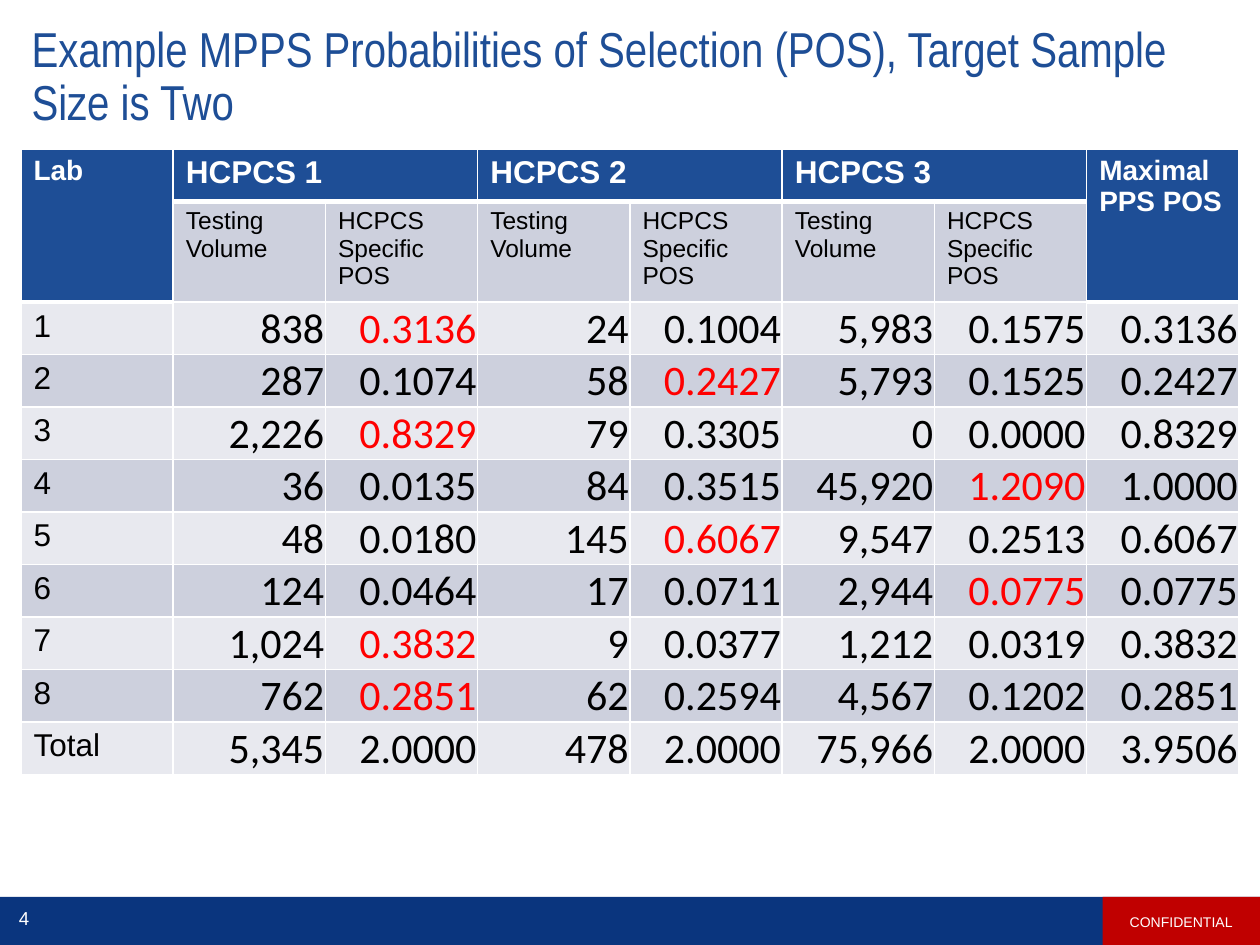
import pptx
import pptx.util
import pptx.dml.color
import pptx.enum.shapes
import pptx.enum.text
import pptx.oxml
import pptx.oxml.ns

Pt = pptx.util.Pt
ALIGN = pptx.enum.text.PP_ALIGN
ANCHOR = pptx.enum.text.MSO_ANCHOR

BLUE, NAVY, RED = "1E4E96", "0A357E", "C00000"
WHITE, BLACK, HIGHLIGHT = "FFFFFF", "000000", "FF0000"
BANDS = ("E8E9EF", "CDD0DD")

LAB_ROWS = [
    ("1", "838", "0.3136", "24", "0.1004", "5,983", "0.1575", "0.3136"),
    ("2", "287", "0.1074", "58", "0.2427", "5,793", "0.1525", "0.2427"),
    ("3", "2,226", "0.8329", "79", "0.3305", "0", "0.0000", "0.8329"),
    ("4", "36", "0.0135", "84", "0.3515", "45,920", "1.2090", "1.0000"),
    ("5", "48", "0.0180", "145", "0.6067", "9,547", "0.2513", "0.6067"),
    ("6", "124", "0.0464", "17", "0.0711", "2,944", "0.0775", "0.0775"),
    ("7", "1,024", "0.3832", "9", "0.0377", "1,212", "0.0319", "0.3832"),
    ("8", "762", "0.2851", "62", "0.2594", "4,567", "0.1202", "0.2851"),
    ("Total", "5,345", "2.0000", "478", "2.0000", "75,966", "2.0000", "3.9506"),
]
POS_COLUMNS = (2, 4, 6)


def color(value):
    return pptx.dml.color.RGBColor.from_string(value)


def write(text_frame, text, size, text_color, font="Arial", bold=False, align=ALIGN.LEFT):
    text_frame.text = text
    text_frame.word_wrap = True
    paragraph = text_frame.paragraphs[0]
    paragraph.alignment = align
    for run in paragraph.runs:
        run.font.name = font
        run.font.size = Pt(size)
        run.font.bold = bold
        run.font.color.rgb = color(text_color)
    return paragraph


def set_margins(target, left, top, right, bottom):
    target.margin_left, target.margin_top = Pt(left), Pt(top)
    target.margin_right, target.margin_bottom = Pt(right), Pt(bottom)


def style_cell(cell, fill, bottom_width=1):
    cell.fill.solid()
    cell.fill.fore_color.rgb = color(fill)
    properties = cell._tc.get_or_add_tcPr()
    widths = {"lnL": 1, "lnR": 1, "lnT": 1, "lnB": bottom_width}
    for index, (side, width) in enumerate(widths.items()):
        line = pptx.oxml.parse_xml(
            f'<a:{side} {pptx.oxml.ns.nsdecls("a")} w="{int(Pt(width))}"><a:solidFill>'
            f'<a:srgbClr val="{WHITE}"/></a:solidFill></a:{side}>')
        properties.insert(index, line)


def add_title(slide, left, top, width, height):
    title = slide.shapes.title
    title.left, title.top, title.width, title.height = map(Pt, (left, top, width, height))
    text_frame = title.text_frame
    set_margins(text_frame, 7.2, 7.2, 14.4, 7.2)
    text_frame.vertical_anchor = ANCHOR.MIDDLE
    paragraph = write(
        text_frame,
        "Example MPPS Probabilities of Selection (POS), Target Sample Size is Two",
        28, BLUE, font="Arial Narrow")
    paragraph.line_spacing = 0.9
    text_frame.auto_size = pptx.enum.text.MSO_AUTO_SIZE.NONE


def add_header_rows(table):
    # Blue cells, spanning two rows at the ends and two columns between
    for column in range(8):
        style_cell(table.cell(0, column), BLUE, bottom_width=3)
    for column, text in ((0, "Lab"), (7, "Maximal PPS POS")):
        style_cell(table.cell(1, column), BLUE, bottom_width=3)
        table.cell(0, column).merge(table.cell(1, column))
        write(table.cell(0, column).text_frame, text, 16, WHITE, bold=True)
    for number in (1, 2, 3):
        column = 2 * number - 1
        table.cell(0, column).merge(table.cell(0, column + 1))
        write(table.cell(0, column).text_frame, f"HCPCS {number}", 18, WHITE, bold=True)
        # Subheadings
        for offset, text in enumerate(("Testing Volume", "HCPCS Specific POS")):
            cell = table.cell(1, column + offset)
            style_cell(cell, BANDS[1])
            write(cell.text_frame, text, 14, BLACK)


def add_lab_rows(table):
    for index, values in enumerate(LAB_ROWS):
        # The largest probability of each lab stands out
        largest = max(float(values[column]) for column in POS_COLUMNS)
        for column, text in enumerate(values):
            cell = table.cell(index + 2, column)
            style_cell(cell, BANDS[index % 2])
            if column == 0:
                write(cell.text_frame, text, 18, BLACK)
                continue
            is_largest = (values[0] != "Total" and column in POS_COLUMNS
                          and float(text) == largest)
            set_margins(cell, 0.75, 0.75, 0.75, 0)
            cell.vertical_anchor = ANCHOR.BOTTOM
            write(cell.text_frame, text, 24, HIGHLIGHT if is_largest else BLACK,
                  font="Calibri", align=ALIGN.RIGHT)


def add_pos_table(slide, left, top, width, height):
    row_count = len(LAB_ROWS) + 2
    table = slide.shapes.add_table(
        row_count, 8, Pt(left), Pt(top), Pt(width), Pt(height)).table
    for column in table.columns:
        column.width = Pt(width / 8)
    subheading_height = 54
    for index, row in enumerate(table.rows):
        row.height = Pt(subheading_height if index == 1
                        else (height - subheading_height) / (row_count - 1))
    add_header_rows(table)
    add_lab_rows(table)


def add_bar(slide, left, top, width, height, fill):
    bar = slide.shapes.add_shape(
        pptx.enum.shapes.MSO_SHAPE.RECTANGLE, Pt(left), Pt(top), Pt(width), Pt(height))
    bar.shadow.inherit = False
    bar.fill.solid()
    bar.fill.fore_color.rgb = color(fill)
    bar.line.fill.background()
    return bar


def add_footer(slide, left, top, width, height):
    add_bar(slide, left, top, width, height, NAVY)
    # Confidential label at the right end
    label_width = 90
    label = add_bar(slide, left + width - label_width, top, label_width, height, RED)
    label.text_frame.vertical_anchor = ANCHOR.MIDDLE
    write(label.text_frame, "CONFIDENTIAL", 8, WHITE, align=ALIGN.CENTER)
    # Page number at the left end
    number = slide.shapes.add_textbox(Pt(left), Pt(top + 0.7), Pt(27.4), Pt(23))
    number.text_frame.vertical_anchor = ANCHOR.MIDDLE
    write(number.text_frame, "4", 10.7, WHITE, align=ALIGN.CENTER)


def main():
    presentation = pptx.Presentation()
    presentation.slide_width, presentation.slide_height = Pt(720), Pt(540)
    slide = presentation.slides.add_slide(presentation.slide_layouts[5])
    add_footer(slide, 0, 512.6, 720, 28)
    add_title(slide, 10.8, 14.4, 696, 60)
    add_pos_table(slide, 12, 85, 696, 354)
    presentation.save("out.pptx")


if __name__ == "__main__":
    main()
